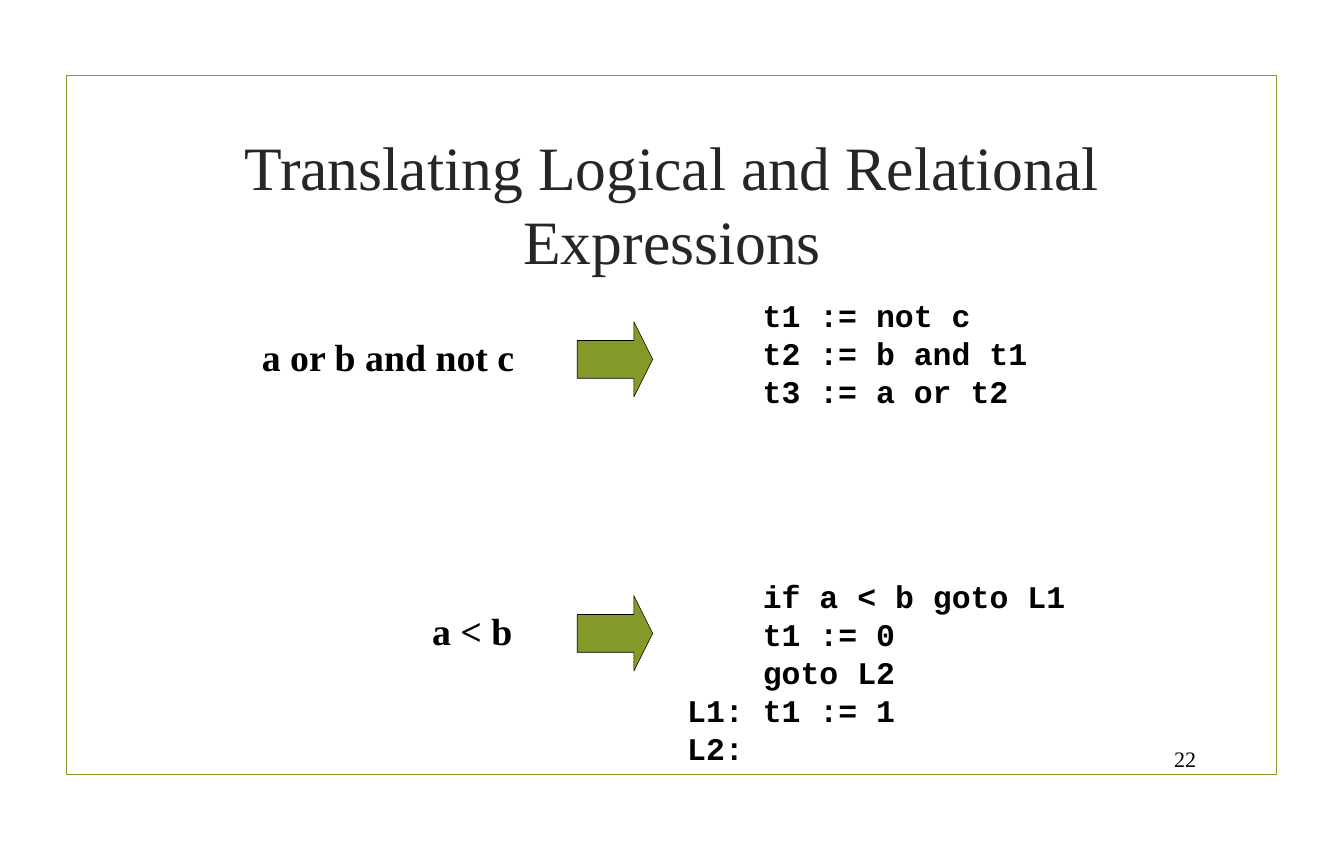
from pptx import Presentation
from pptx.dml.color import RGBColor
from pptx.enum.shapes import MSO_SHAPE as SHAPE
from pptx.enum.text import MSO_ANCHOR as ANCHOR, PP_ALIGN as ALIGN
from pptx.util import Inches, Pt

WIDTH, HEIGHT = 23.7, 15
SERIF, MONO = "Times New Roman", "Courier New"
GREEN, BLACK, GREY = "83992A", "000000", "262626"
ARROW_LEFT, ARROW_SIZE = 10.18, 1.33

# source expression with its box, arrow top, translated code with its box
TRANSLATIONS = [
    ("a or b and not c", (4.52, 5.83, 4.7, 0.91), 5.67,
     ["t1 := not c", "t2 := b and t1", "t3 := a or t2"],
     (13.35, 5.17, 4.91, 2.12)),
    ("a < b", (7.52, 10.67, 1.63, 0.91), 10.5,
     ["    if a < b goto L1", "    t1 := 0", "    goto L2", "L1: t1 := 1", "L2:"],
     (12.02, 10.13, 6.93, 3.47)),
]


def color(hex_value):
    return RGBColor.from_string(hex_value)


def add_shape(s, kind, box, line, line_width, fill=None):
    sp = s.shapes.add_shape(kind, *map(Inches, box))
    sp.shadow.inherit = False
    if fill:
        sp.fill.solid()
        sp.fill.fore_color.rgb = color(fill)
    else:
        sp.fill.background()
    sp.line.color.rgb = color(line)
    sp.line.width = Pt(line_width)
    return sp


def add_text(s, box, lines, size, font=SERIF, fill=BLACK, bold=False,
             align=ALIGN.LEFT, anchor=ANCHOR.TOP, wrap=False, spacing=None):
    """Add one paragraph whose lines are parted by line breaks."""
    tf = s.shapes.add_textbox(*map(Inches, box)).text_frame
    tf.word_wrap = wrap
    tf.vertical_anchor = anchor
    p = tf.paragraphs[0]
    p.alignment = align
    if spacing:
        p.line_spacing = Pt(spacing)
    for i, line in enumerate(lines):
        if i:
            p.add_line_break()
        r = p.add_run()
        r.text = line
        r.font.name, r.font.size, r.font.bold = font, Pt(size), bold
        r.font.color.rgb = color(fill)


def add_arrow(s, top):
    sp = add_shape(s, SHAPE.RIGHT_ARROW, (ARROW_LEFT, top, ARROW_SIZE, ARROW_SIZE),
                   BLACK, 0.75, GREEN)
    sp.adjustments[0], sp.adjustments[1] = 0.5, 0.25


def main():
    prs = Presentation()
    prs.slide_width, prs.slide_height = Inches(WIDTH), Inches(HEIGHT)
    s = prs.slides.add_slide(prs.slide_layouts[6])

    add_shape(s, SHAPE.RECTANGLE, (1.18, 1.33, 21.33, 12.33), GREEN, 1.25)
    add_text(s, (20.13, 13.06, 1.06, 0.61), ["22"], 28,
             align=ALIGN.RIGHT, anchor=ANCHOR.MIDDLE, wrap=True)
    add_text(s, (2.52, 2.15, 18.67, 2.85),
             ["Translating Logical and Relational Expressions"], 78.2, fill=GREY,
             align=ALIGN.CENTER, anchor=ANCHOR.MIDDLE, wrap=True)

    for expression, expression_box, arrow_top, code, code_box in TRANSLATIONS:
        add_text(s, expression_box, [expression], 48, bold=True)
        add_arrow(s, arrow_top)
        add_text(s, code_box, code, 40, MONO, bold=True, spacing=48)

    prs.save("out.pptx")


if __name__ == "__main__":
    main()
